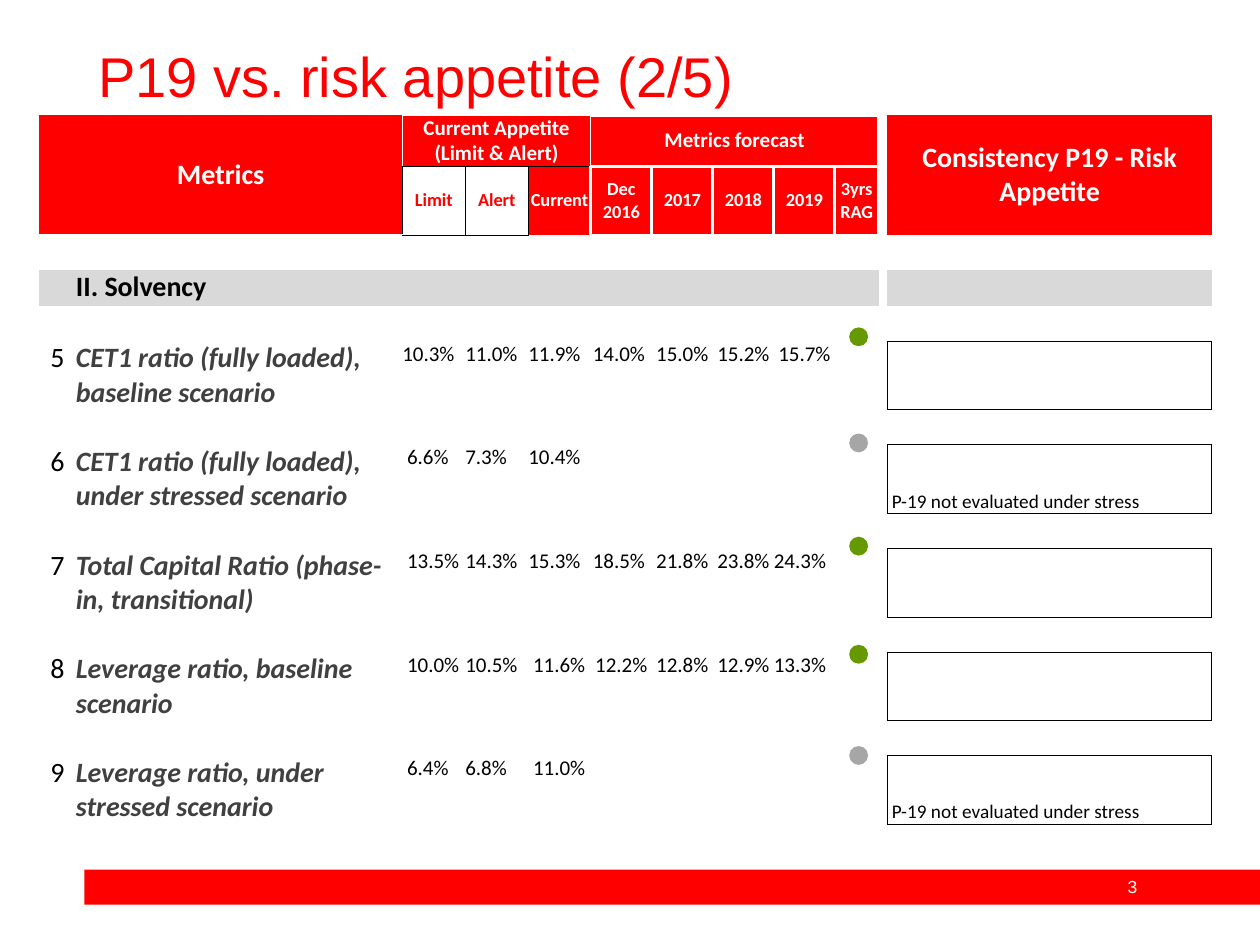
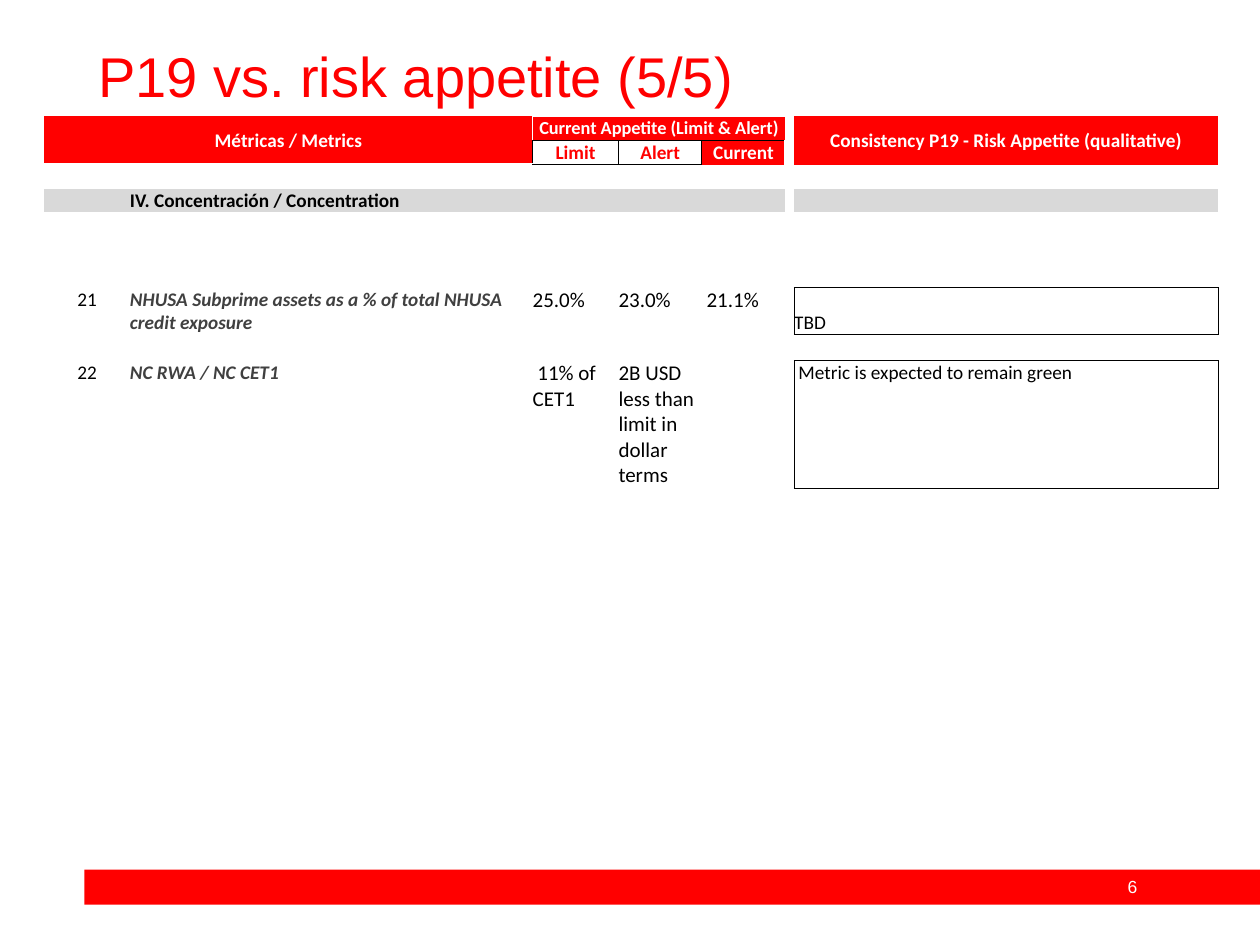
from dataclasses import dataclass

from lxml import etree
from pptx import Presentation, util as u
from pptx.dml import color
from pptx.enum import shapes, text
from pptx.oxml import ns


@dataclass(frozen=True)
class Theme:
    red: str = "FF0000"
    white: str = "FFFFFF"
    black: str = "000000"
    grey: str = "D9D9D9"
    charcoal: str = "404040"
    green: str = "669900"
    silver: str = "A6A6A6"
    title_font: str = "Arial"
    table_font: str = "Calibri"
    title_size: float = 32
    page_size: float = 10
    value_size: float = 12
    note_size: float = 11
    empty_size: float = 6


THEME = Theme()
LEFT, CENTER = text.PP_ALIGN.LEFT, text.PP_ALIGN.CENTER
TOP, MIDDLE, BOTTOM = text.MSO_ANCHOR.TOP, text.MSO_ANCHOR.MIDDLE, text.MSO_ANCHOR.BOTTOM
NO_TABLE_STYLE = "{2D5ABB26-0587-4C30-8999-92F81FD0307C}"

THIN, THICK, BLACK = (THEME.white, 0.5), (THEME.white, 2), (THEME.black, 0.5)
BOX = dict.fromkeys("LRTB", BLACK)
METRICS_EDGE = {"R": THIN, "B": THICK}
APPETITE_EDGE = {"L": THIN, "R": THIN, "T": THIN, "B": BLACK}
FORECAST_EDGE = {"L": THIN, "R": THICK, "T": THICK, "B": THICK}
CURRENT_EDGE = {"L": BLACK, "R": THICK}
YEAR_EDGE = {"L": THICK, "R": THICK, "T": THICK}

SECTION_ROW = 3
FIRST_VALUE_COLUMN = 2
FIRST_FORECAST_COLUMN = 5
DOT_LEFT, DOT_SIZE = 17.12, 0.38

DECK = [
    {
        "title": "P19 vs. risk appetite (2/5)",
        "page": "3",
        "origin": (0.79, 2.32),
        "columns": [0.74, 6.58, 1.27, 1.27, 1.26] + [1.23] * 4 + [0.88, 0.18, 6.54],
        "rows": [1.03, 1.39, 0.71, 0.72, 0.71] + [1.38, 0.71] * 4 + [1.38],
        "body_size": 16,
        "label_size": 10.5,
        "label_anchor": MIDDLE,
        "headings": [
            (0, "Metrics", 16, (2, 2), METRICS_EDGE),
            (2, "Current Appetite (Limit & Alert)", 12, (1, 3), APPETITE_EDGE),
            (5, "Metrics forecast", 12, (1, 5), FORECAST_EDGE),
            (11, "Consistency P19 - Risk Appetite", 16, (2, 1), {}),
        ],
        "labels": ["Limit", "Alert", "Current", "Dec 2016", "2017", "2018", "2019", "3yrs RAG"],
        "section": "II. Solvency",
        "first_metric_row": 5,
        "metrics": [
            ("5", "CET1 ratio (fully loaded), baseline scenario",
             ["10.3%", "11.0%", "11.9%", "14.0% ", "15.0%", "15.2%", "15.7%"], "", BOTTOM),
            ("6", "CET1 ratio (fully loaded), under stressed scenario",
             [" 6.6%", "7.3%", "10.4%"], " P-19 not evaluated under stress", BOTTOM),
            ("7", "Total Capital Ratio (phase-in, transitional)",
             [" 13.5%", "14.3%", "15.3%", "18.5% ", "21.8%", "23.8%", "24.3%"], "", BOTTOM),
            ("8", "Leverage ratio, baseline scenario",
             [" 10.0%", "10.5%", " 11.6%", "12.2%", "12.8%", "12.9%", "13.3%"], "", BOTTOM),
            ("9", "Leverage ratio, under stressed scenario",
             [" 6.4%", "6.8%", " 11.0%"], " P-19 not evaluated under stress", BOTTOM),
        ],
        "left_cells": {(9, 8), (11, 8)},
        "empty_spans": [(2, 8, 2), (7, 5, 4), (13, 5, 4)],
        "dots": [(6.6, THEME.green), (8.74, THEME.silver), (10.82, THEME.green),
                 (13.0, THEME.green), (15.04, THEME.silver)],
    },
    {
        "title": "P19 vs. risk appetite (5/5)",
        "page": "6",
        "origin": (0.89, 2.34),
        "columns": [1.73, 8.12, 1.73, 1.68, 1.68, 0.18, 8.55],
        "rows": [0.5, 0.48, 0.48, 0.48, 0.5, 0.5, 0.52, 0.95, 0.52, 2.58, 1.37],
        "body_size": 11,
        "label_size": 11,
        "label_anchor": TOP,
        "headings": [
            (0, "Métricas / Metrics", 11, (2, 2), METRICS_EDGE),
            (2, "Current Appetite (Limit & Alert)", 10.5, (1, 3), APPETITE_EDGE),
            (6, "Consistency P19 - Risk Appetite (qualitative)", 11, (2, 1), {}),
        ],
        "labels": ["Limit", "Alert", "Current"],
        "section": "IV. Concentración / Concentration",
        "first_metric_row": 7,
        "metrics": [
            ("21", "NHUSA Subprime assets as a % of total NHUSA credit exposure",
             ["25.0%", "23.0%", " 21.1%"], "TBD", BOTTOM),
            ("22", "NC RWA / NC CET1",
             [" 11% of CET1", "2B USD less than limit in dollar terms"],
             " Metric is expected to remain green", TOP),
        ],
        "left_cells": set(),
        "empty_spans": [(10, 1, 4)],
        "dots": [],
    },
]


def rgb(value):
    return color.RGBColor.from_string(value)


def format_text(frame, content, size, ink, font, align=LEFT, bold=False, italic=False):
    frame.text = content
    frame.word_wrap = True
    for paragraph in frame.paragraphs:
        paragraph.alignment = align
        for run in paragraph.runs:
            run.font.name, run.font.size = font, u.Pt(size)
            run.font.bold, run.font.italic = bold, italic
            run.font.color.rgb = rgb(ink)


def add_text_box(slide, box, content, size, ink, align=LEFT):
    shape = slide.shapes.add_textbox(*map(u.Cm, box))
    format_text(shape.text_frame, content, size, ink, THEME.title_font, align)
    shape.text_frame.vertical_anchor = MIDDLE


def add_plain_shape(slide, kind, box, fill):
    shape = slide.shapes.add_shape(kind, *map(u.Cm, box))
    shape.shadow.inherit = False
    shape.fill.solid()
    shape.fill.fore_color.rgb = rgb(fill)
    shape.line.fill.background()


def add_frame(slide, page):
    add_plain_shape(slide, shapes.MSO_SHAPE.RECTANGLE, (1.7, 17.53, 23.7, 0.71), THEME.red)
    add_text_box(slide, (22.12, 17.53, 1.42, 0.69), page["page"],
                 THEME.page_size, THEME.white, CENTER)
    add_text_box(slide, (1.73, 0.79, 21.89, 1.45), page["title"], THEME.title_size, THEME.red)


def set_borders(cell, edges):
    properties = cell._tc.get_or_add_tcPr()
    for side in "LRTB":
        if side in edges:
            ink, width = edges[side]
            line = etree.SubElement(properties, ns.qn("a:ln" + side), w=str(u.Pt(width)))
            fill = etree.SubElement(line, ns.qn("a:solidFill"))
            etree.SubElement(fill, ns.qn("a:srgbClr"), val=ink)


def set_cell(cell, content, size, ink=THEME.black, edges=None, fill=None, anchor=TOP, **style):
    format_text(cell.text_frame, content, size, ink, THEME.table_font, **style)
    cell.vertical_anchor = anchor
    set_borders(cell, edges or {})
    if fill:
        cell.fill.solid()
        cell.fill.fore_color.rgb = rgb(fill)


def add_blank_table(slide, page):
    columns, rows = page["columns"], page["rows"]
    box = (*page["origin"], sum(columns), sum(rows))
    table = slide.shapes.add_table(len(rows), len(columns), *map(u.Cm, box)).table
    table.first_row = table.horz_banding = False
    table._tbl.tblPr.find(ns.qn("a:tableStyleId")).text = NO_TABLE_STYLE
    for column, width in zip(table.columns, columns):
        column.width = u.Cm(width)
    for row, height in zip(table.rows, rows):
        row.height = u.Cm(height)
    gap = len(columns) - 2
    for r in range(len(rows)):
        for c in range(len(columns)):
            cell = table.cell(r, c)
            cell.margin_left = cell.margin_right = cell.margin_top = cell.margin_bottom = 0
            cell.fill.solid()
            banded = r == SECTION_ROW and c != gap
            cell.fill.fore_color.rgb = rgb(THEME.grey if banded else THEME.white)
            etree.SubElement(cell.text_frame.paragraphs[0]._p, ns.qn("a:endParaRPr"),
                             sz=str(int(THEME.empty_size * 100)))
    return table


def reset_fill(cell):
    properties = cell._tc.get_or_add_tcPr()
    for fill in properties.findall(ns.qn("a:solidFill")):
        properties.remove(fill)
    return cell


def fill_header(table, page):
    for column, content, size, (height, width), edges in page["headings"]:
        cell = reset_fill(table.cell(0, column))
        cell.merge(table.cell(height - 1, column + width - 1))
        set_cell(cell, content, size, THEME.white, edges, THEME.red, MIDDLE,
                 align=CENTER, bold=True)
    for index, content in enumerate(page["labels"]):
        threshold = index < 2
        edges = BOX if threshold else CURRENT_EDGE if index == 2 else YEAR_EDGE
        ink, fill = (THEME.red, THEME.white) if threshold else (THEME.white, THEME.red)
        set_cell(reset_fill(table.cell(1, FIRST_VALUE_COLUMN + index)), content,
                 page["label_size"], ink, edges, fill, page["label_anchor"],
                 align=CENTER, bold=True)


def fill_metrics(table, page):
    size = page["body_size"]
    set_cell(table.cell(SECTION_ROW, 1), page["section"], size, bold=True)
    for index, (number, name, values, note, anchor) in enumerate(page["metrics"]):
        row = page["first_metric_row"] + 2 * index
        set_cell(table.cell(row, 0), number, size, align=CENTER)
        set_cell(table.cell(row, 1), name, size, THEME.charcoal, bold=True, italic=True)
        for column, value in enumerate(values, FIRST_VALUE_COLUMN):
            centred = column >= FIRST_FORECAST_COLUMN and (row, column) not in page["left_cells"]
            set_cell(table.cell(row, column), value, THEME.value_size,
                     align=CENTER if centred else LEFT)
        note_cell = reset_fill(table.cell(row, len(page["columns"]) - 1))
        set_cell(note_cell, note, THEME.note_size, edges=BOX, fill=THEME.white, anchor=anchor)


def build_slide(presentation, page):
    slide = presentation.slides.add_slide(presentation.slide_layouts[6])
    add_frame(slide, page)
    table = add_blank_table(slide, page)
    fill_header(table, page)
    fill_metrics(table, page)
    for row, column, width in page["empty_spans"]:
        table.cell(row, column).merge(table.cell(row, column + width - 1))
    for top, fill in page["dots"]:
        add_plain_shape(slide, shapes.MSO_SHAPE.OVAL, (DOT_LEFT, top, DOT_SIZE, DOT_SIZE), fill)


def main():
    presentation = Presentation()
    presentation.slide_width, presentation.slide_height = u.Cm(25.4), u.Cm(19.05)
    for page in DECK:
        build_slide(presentation, page)
    presentation.save("out.pptx")


if __name__ == "__main__":
    main()
